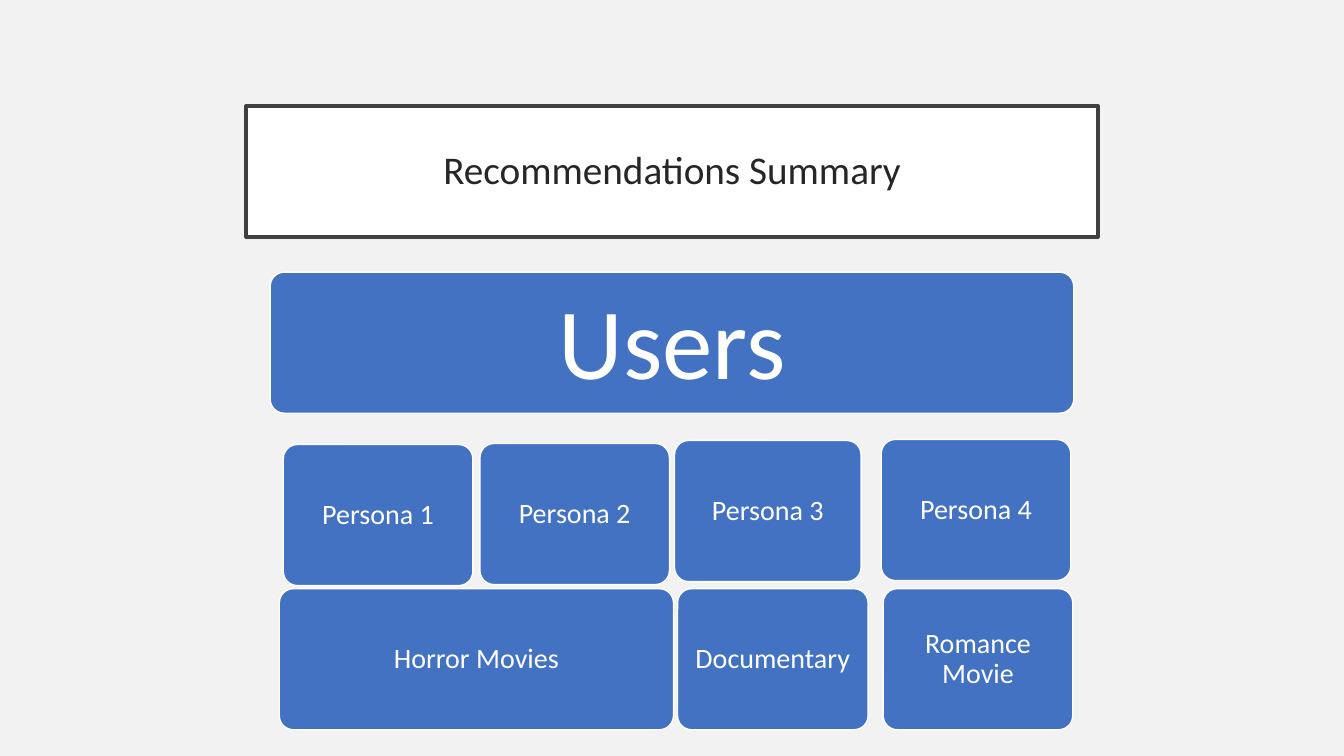
from pptx import Presentation
from pptx.dml.color import RGBColor
from pptx.enum.shapes import MSO_SHAPE as Shape
from pptx.enum.text import MSO_ANCHOR as Anchor, PP_ALIGN as Align
from pptx.util import Inches, Pt

COLORS = {"back": "F2F2F2", "white": "FFFFFF", "frame": "404040",
          "ink": "262626", "blue": "4372C3"}
FONT = "Calibri"
HIGH = 1.4
# label, left, top, width
PERSONAS = [("Persona 1", 2.81, 4.41, 1.88), ("Persona 2", 4.76, 4.40, 1.88),
            ("Persona 3", 6.69, 4.37, 1.85), ("Persona 4", 8.74, 4.36, 1.88)]
GENRES = [("Horror Movies", 2.77, 5.84, 3.91), ("Documentary", 6.72, 5.84, 1.89),
          ("Romance Movie", 8.76, 5.84, 1.88)]


def color(name):
    return RGBColor.from_string(COLORS[name])


def paint(shape, fill, line, width):
    shape.fill.solid()
    shape.fill.fore_color.rgb = color(fill)
    shape.line.color.rgb = color(line)
    shape.line.width = Pt(width)


def write(shape, text, size, ink, inset, drop=0):
    """Centre the text in the shape; drop is extra inset at the top."""
    frame = shape.text_frame
    frame.text = text
    frame.word_wrap = True
    frame.vertical_anchor = Anchor.MIDDLE
    frame.margin_left = frame.margin_right = frame.margin_bottom = Inches(inset)
    frame.margin_top = Inches(inset + drop)
    para = frame.paragraphs[0]
    para.alignment = Align.CENTER
    para.line_spacing = 0.9
    font = para.runs[0].font
    font.name, font.size = FONT, Pt(size)
    font.color.rgb = color(ink)


def add_title(slide, left, top, width, height):
    title = slide.shapes.title
    title.left, title.top = Inches(left), Inches(top)
    title.width, title.height = Inches(width), Inches(height)
    paint(title, "white", "frame", 2.5)
    write(title, "Recommendations Summary", 28, "ink", 0.2)


def add_tile(slide, text, left, top, width, size=20, drop=0):
    tile = slide.shapes.add_shape(Shape.ROUNDED_RECTANGLE, Inches(left),
                                  Inches(top), Inches(width), Inches(HIGH))
    tile.adjustments[0] = 0.1
    tile.shadow.inherit = False
    paint(tile, "blue", "white", 1)
    write(tile, text, size, "white", 0.08, drop)


def main():
    deck = Presentation()
    deck.slide_width, deck.slide_height = Inches(13.33), Inches(7.5)
    slide = deck.slides.add_slide(deck.slide_layouts[5])
    slide.background.fill.solid()
    slide.background.fill.fore_color.rgb = color("back")
    add_title(slide, 2.44, 1.05, 8.45, 1.3)
    add_tile(slide, "Users", 2.68, 2.7, 7.97, size=72, drop=0.08)
    for tile in PERSONAS + GENRES:
        add_tile(slide, *tile)
    deck.save("out.pptx")


if __name__ == "__main__":
    main()
